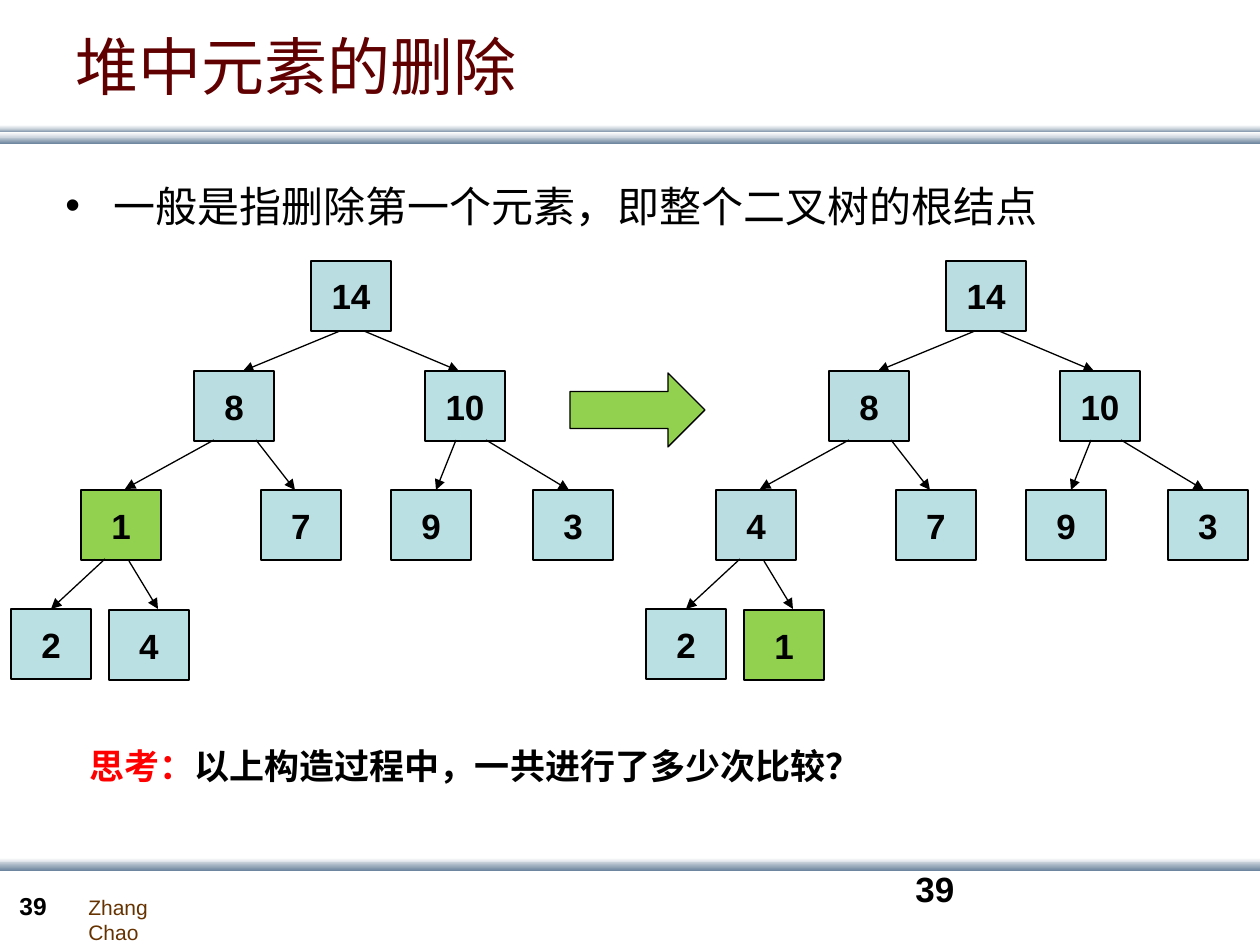
from lxml import etree
from pptx import Presentation
from pptx.dml.color import RGBColor
from pptx.enum.shapes import MSO_CONNECTOR, MSO_SHAPE
from pptx.enum.text import MSO_ANCHOR, PP_ALIGN
from pptx.oxml.ns import qn
from pptx.util import Pt

RECTANGLE = MSO_SHAPE.RECTANGLE
RIGHT_ARROW = MSO_SHAPE.RIGHT_ARROW
STRAIGHT = MSO_CONNECTOR.STRAIGHT
MIDDLE = MSO_ANCHOR.MIDDLE
CENTER = PP_ALIGN.CENTER

LATIN, CJK = "Arial", "Noto Sans CJK SC"
COLORS = {
    "black": "000000", "title": "600000", "author": "663300", "red": "FF0000",
    "white": "FFFFFF", "mist": "C8D1DA", "steel": "6A839C",
    "node": "BBE0E3", "sifted": "BADDE1", "marked": "92D050",
}


def px(*lengths):
    """Turn pixels (126 to the inch) into EMU."""
    return [round(length * 914400 / 126) for length in lengths]


def add_run(paragraph, text, size, color, font=LATIN, bold=False):
    run = paragraph.add_run()
    run.text = text
    run.font.size = Pt(size)
    run.font.bold = bold
    run.font.name = font
    run.font.color.rgb = RGBColor.from_string(COLORS[color])
    if font == CJK:
        etree.SubElement(run.font._element, qn("a:ea"), typeface=font)


prs = Presentation()
prs.slide_width, prs.slide_height = px(1260, 945)
slide = prs.slides.add_slide(prs.slide_layouts[6])

# Divider bands: top, height, upper and lower colour
bands = [
    (137, 7, "mist", "steel"), (129, 4, "mist", "steel"),
    (132, 6, "white", "mist"), (125, 4, "white", "mist"),
    (858, 6, "white", "mist"), (862, 9, "mist", "steel"),
]
for top, height, *shades in bands:
    band = slide.shapes.add_shape(RECTANGLE, *px(0, top, 1261, height))
    band.shadow.inherit = False
    band.line.fill.background()
    band.fill.gradient()
    band.fill.gradient_angle = 270
    for stop, shade in zip(band.fill.gradient_stops, shades):
        stop.color.rgb = RGBColor.from_string(COLORS[shade])

# Text boxes: left, top, width, height, runs
texts = {
    "author": (76, 888, 140, 38, [("Zhang Chao", 12, "author")]),
    "footer number": (7, 885, 69, 43, [("39", 14, "black", LATIN, True)]),
    "page number": (903, 861, 294, 63, [("39", 20, "black", LATIN, True)]),
    "point": (53, 174, 1143, 635,
              [("一般是指删除第一个元素，即整个二叉树的根结点", 24, "black", CJK)]),
    "title": (63, -14, 1134, 158, [("堆中元素的删除", 36, "title", CJK)]),
    "question": (77, 738, 1106, 55, [
        ("思考：", 20, "red", CJK, True),
        ("以上构造过程中，一共进行了多少次比较？", 20, "black", CJK, True),
    ]),
}
for part, (*place, runs) in texts.items():
    frame = slide.shapes.add_textbox(*px(*place)).text_frame
    frame.word_wrap = True
    paragraph = frame.paragraphs[0]
    if part == "title":
        frame.vertical_anchor = MIDDLE
    if part == "point":
        indent = px(48)[0]
        properties = paragraph._p.get_or_add_pPr()
        properties.set("marL", str(indent))
        properties.set("indent", str(-indent))
        bullet_color = etree.SubElement(properties, qn("a:buClr"))
        etree.SubElement(bullet_color, qn("a:srgbClr"), val=COLORS["black"])
        etree.SubElement(properties, qn("a:buFont"), typeface=LATIN)
        etree.SubElement(properties, qn("a:buChar"), char="•")
    for run in runs:
        add_run(paragraph, *run)

step_arrow = slide.shapes.add_shape(RIGHT_ARROW, *px(570, 373, 135, 74))
step_arrow.shadow.inherit = False
step_arrow.fill.solid()
step_arrow.fill.fore_color.rgb = RGBColor.from_string(COLORS["marked"])
step_arrow.line.color.rgb = RGBColor.from_string(COLORS["black"])
step_arrow.line.width = Pt(0.75)

# Both heaps share one layout, in level order
NODE_WIDTH, NODE_HEIGHT = 80, 70
node_places = [(311, 261), (194, 371), (425, 371), (81, 490), (261, 490),
               (391, 490), (533, 490), (11, 609), (109, 610)]
# One edge to each node after the root: start x, y, end x, y
edges = [
    (340, 331, 243, 371), (364, 331, 459, 371),
    (214, 440, 125, 489), (256, 440, 295, 490),
    (456, 440, 436, 490), (486, 440, 569, 490),
    (105, 559, 52, 610), (129, 561, 158, 609),
]
heaps = [
    (0, [14, 8, 10, 1, 7, 9, 3, 2, 4], {14, 8}),
    (635, [14, 8, 10, 4, 7, 9, 3, 2, 1], {14, 8, 4}),
]
for shift, keys, sifted in heaps:
    heap = slide.shapes.add_group_shape()
    nodes = []
    for key, (left, top) in zip(keys, node_places):
        node = heap.shapes.add_shape(
            RECTANGLE, *px(left + shift, top, NODE_WIDTH, NODE_HEIGHT))
        shade = "marked" if key == 1 else "sifted" if key in sifted else "node"
        node.shadow.inherit = False
        node.fill.solid()
        node.fill.fore_color.rgb = RGBColor.from_string(COLORS[shade])
        node.line.color.rgb = RGBColor.from_string(COLORS["black"])
        node.line.width = Pt(0.75)
        node.text_frame.word_wrap = False
        node.text_frame.vertical_anchor = MIDDLE
        label = node.text_frame.paragraphs[0]
        label.alignment = CENTER
        add_run(label, str(key), 20, "black", bold=True)
        nodes.append(node)

    for child, (left, _), (x1, y1, x2, y2) in zip(nodes[1:], node_places[1:], edges):
        edge = heap.shapes.add_connector(
            STRAIGHT, *px(x1 + shift, y1, x2 + shift, y2))
        if abs(left + NODE_WIDTH / 2 - x2) <= 1:
            edge.end_connect(child, 0)
        edge.line.color.rgb = RGBColor.from_string(COLORS["black"])
        edge.line.width = Pt(0.75)
        etree.SubElement(edge.line._get_or_add_ln(), qn("a:tailEnd"), type="triangle")
        etree.SubElement(edge._element.spPr, qn("a:effectLst"))

prs.save("out.pptx")
